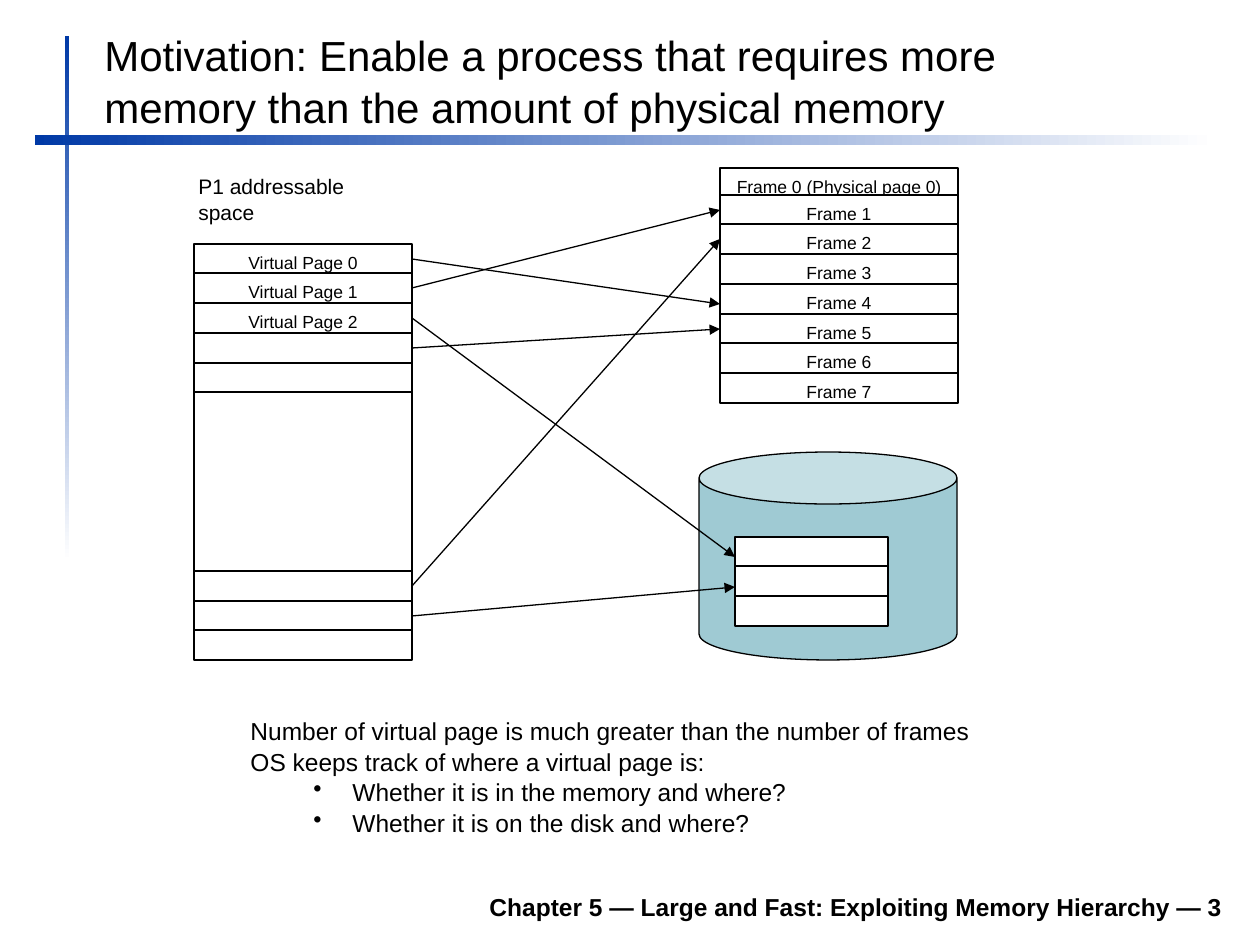
from lxml import etree
from pptx import Presentation
from pptx.dml.color import RGBColor
from pptx.enum.shapes import MSO_CONNECTOR, MSO_SHAPE
from pptx.enum.text import MSO_ANCHOR, PP_ALIGN
from pptx.oxml.ns import qn
from pptx.util import Emu, Pt

RECT, CAN = MSO_SHAPE.RECTANGLE, MSO_SHAPE.CAN
STRAIGHT = MSO_CONNECTOR.STRAIGHT
TOP, BOTTOM = MSO_ANCHOR.TOP, MSO_ANCHOR.BOTTOM
LEFT, CENTER, RIGHT = PP_ALIGN.LEFT, PP_ALIGN.CENTER, PP_ALIGN.RIGHT
LEFT_SIDE, RIGHT_SIDE = 1, 3

BLACK = RGBColor(0x00, 0x00, 0x00)
WHITE = RGBColor(0xFF, 0xFF, 0xFF)
RULE_BLUE = RGBColor(0x00, 0x39, 0xA6)
DISK_BLUE = RGBColor(0x9F, 0xCA, 0xD3)

FONT = "Arial"
LINE_SPACING = 1.04
ROW_HEIGHT = 30


def px(n):
    return Emu(round(n * 914400 / 126))


def row_top(first, index):
    """Four rows take 119 px."""
    return first + index * 119 // 4


def format_text(frame, size, align=LEFT, bold=False):
    for paragraph in frame.paragraphs:
        paragraph.alignment = align
        paragraph.line_spacing = LINE_SPACING
        for run in paragraph.runs:
            run.font.name = FONT
            run.font.size = Pt(size)
            run.font.bold = bold
            run.font.color.rgb = BLACK


def add_label(slide, box, text, size, align=LEFT, bold=False, anchor=TOP, wrap=True):
    frame = slide.shapes.add_textbox(*map(px, box)).text_frame
    frame.word_wrap = wrap
    frame.vertical_anchor = anchor
    frame.text = text
    format_text(frame, size, align, bold)
    return frame


def add_outlined(slide, preset, box, color, text=""):
    shape = slide.shapes.add_shape(preset, *map(px, box))
    shape.shadow.inherit = False
    shape.fill.solid()
    shape.fill.fore_color.rgb = color
    shape.line.color.rgb = BLACK
    shape.line.width = Pt(0.75)
    if text:
        frame = shape.text_frame
        frame.vertical_anchor = TOP
        frame.margin_top = px(7)
        frame.text = text
        format_text(frame, 10, CENTER)
    return shape


def add_row(slide, left, top, width, text="", height=ROW_HEIGHT):
    return add_outlined(slide, RECT, (left, top, width, height), WHITE, text)


def add_gradient_bar(slide, box, angle):
    bar = slide.shapes.add_shape(RECT, *map(px, box))
    bar.shadow.inherit = False
    bar.line.fill.background()
    bar.fill.gradient()
    bar.fill.gradient_angle = angle
    for stop, color in zip(bar.fill.gradient_stops, (RULE_BLUE, WHITE)):
        stop.color.rgb = color


def add_mapping(slide, page, end, frame=None):
    """Arrow from a page to a point, or to the left side of a frame."""
    arrow = slide.shapes.add_connector(STRAIGHT, 0, 0, *map(px, end))
    arrow.begin_connect(page, RIGHT_SIDE)
    if frame is not None:
        arrow.end_connect(frame, LEFT_SIDE)
    arrow.line.color.rgb = BLACK
    arrow.line.width = Pt(0.75)
    etree.SubElement(arrow.line._get_or_add_ln(), qn("a:tailEnd"), type="triangle")
    etree.SubElement(arrow._element.spPr, qn("a:effectLst"))


def add_bullet(paragraph):
    properties = paragraph._p.get_or_add_pPr()
    properties.set("lvl", "1")
    properties.set("marL", str(px(102)))
    properties.set("indent", str(px(-39)))
    etree.SubElement(properties, qn("a:buChar"), char="•")


def add_virtual_pages(slide):
    left, top, width = 194, 244, 218
    gap_index, row_count = 5, 14
    pages = {}
    for index in (0, 1, 2, 3, 4, 11, 12, 13):
        # The unnamed middle of the address space lies behind the last pages
        if index == 11:
            add_row(slide, left, row_top(top, gap_index), width, height=183)
        text = f"Virtual Page {index}" if index < 3 else ""
        pages[index - row_count if index > 10 else index] = add_row(
            slide, left, row_top(top, index), width, text)
    return pages


def add_frames(slide):
    left, width = 720, 238
    frames = [add_row(slide, left, 168, width, "Frame 0 (Physical page 0)")]
    for number in range(1, 8):
        frames.append(add_row(slide, left, row_top(195, number - 1), width,
                              f"Frame {number}"))
    return frames


def main():
    prs = Presentation()
    prs.slide_width, prs.slide_height = px(1260), px(945)
    slide = prs.slides.add_slide(prs.slide_layouts[6])

    # Crossed rules and footer
    add_gradient_bar(slide, (65, 36, 4, 525), 270)
    add_gradient_bar(slide, (35, 135, 1181, 10), 0)
    add_label(slide, (233, 879, 1002, 49),
              "Chapter 5 — Large and Fast: Exploiting Memory Hierarchy — 3",
              14, RIGHT, bold=True, anchor=BOTTOM)

    # Address space, disk and physical memory
    pages = add_virtual_pages(slide)
    add_label(slide, (186, 166, 228, 63), "P1 addressable space", 12)
    add_outlined(slide, CAN, (699, 452, 258, 208), DISK_BLUE)
    frames = add_frames(slide)

    # Page tracking notes
    notes = add_label(slide, (238, 709, 747, 131), "\n".join((
        "Number of virtual page is much greater than the number of frames",
        "OS keeps track of where a virtual page is:",
        "Whether it is in the memory and where?",
        "Whether it is on the disk and where?")), 14, wrap=False)
    for paragraph in notes.paragraphs[2:]:
        add_bullet(paragraph)

    # Where each page is held
    disk_left = 735
    add_mapping(slide, pages[0], (720, 304))
    for page, number in ((1, 1), (3, 5), (-3, 2)):
        add_mapping(slide, pages[page], (720, 210), frames[number])
    for page, end_y in ((2, 557), (-2, 587)):
        add_mapping(slide, pages[page], (disk_left, end_y))
    for index in range(3):
        add_row(slide, disk_left, row_top(537, index), 153)

    # Title
    add_label(slide, (92, 21, 946, 115),
              "Motivation: Enable a process that requires more memory "
              "than the amount of physical memory", 24)

    prs.save("out.pptx")


if __name__ == "__main__":
    main()
